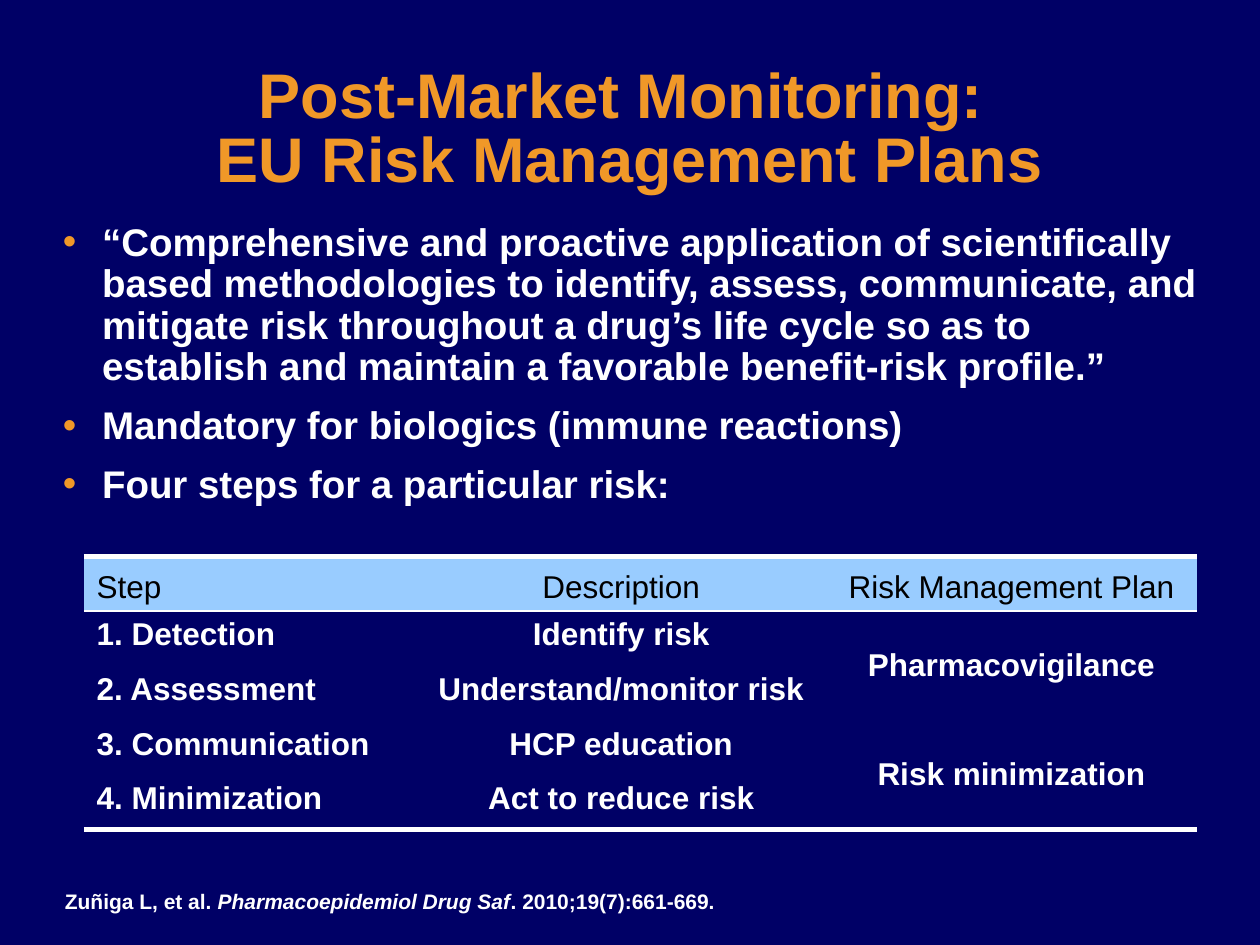
"""Build a slide on EU risk management plans with bullets and a table of steps."""
import pptx
import pptx.util
import pptx.dml.color
import pptx.enum.text
import pptx.oxml
import pptx.oxml.ns
from lxml import etree

Pt = pptx.util.Pt
ALIGN = pptx.enum.text.PP_ALIGN
ANCHOR = pptx.enum.text.MSO_ANCHOR

COLORS = {"navy": "000066", "orange": "F09828", "white": "FFFFFF",
          "black": "000000", "sky": "99CCFF"}
FONT = "Arial"

TITLE = ["Post-Market Monitoring: ", "EU Risk Management Plans"]
BULLETS = [
    "“Comprehensive and proactive application of scientifically based methodologies "
    "to identify, assess, communicate, and mitigate risk throughout a drug’s life cycle "
    "so as to establish and maintain a favorable benefit-risk profile.”",
    "Mandatory for biologics (immune reactions)",
    "Four steps for a particular risk:",
]
CITATION = [("Zuñiga L, et al. ", False), ("Pharmacoepidemiol Drug Saf", True),
            (". 2010;19(7):661-669.", False)]
STEPS = [
    ("Step", "Description", "Risk Management Plan"),
    ("1. Detection", "Identify risk", "Pharmacovigilance"),
    ("2. Assessment", "Understand/monitor risk", ""),
    ("3. Communication", "HCP education", "Risk minimization"),
    ("4. Minimization", "Act to reduce risk", ""),
]
MERGED_ROWS = [(1, 2), (3, 4)]
COLUMN_WIDTHS = [190, 234, 212]
ROW_HEIGHT = 31.2
BORDERS = {0: {"T": 3, "B": 1}, 1: {"T": 1}, 4: {"B": 3}}
NO_STYLE = "{2D5ABB26-0587-4C30-8999-92F81FD0307C}"


def color(name):
    return pptx.dml.color.RGBColor.from_string(COLORS[name])


def add_xml(parent, tag, **attributes):
    return etree.SubElement(parent, pptx.oxml.ns.qn("a:" + tag), attributes)


def add_run(paragraph, text, size, color_name="white", bold=True, italic=False):
    run = paragraph.add_run()
    run.text = text
    font = run.font
    font.name, font.size, font.bold, font.italic = FONT, Pt(size), bold, italic
    font.color.rgb = color(color_name)
    return run


def add_text_frame(slide, left, top, width, height, anchor=ANCHOR.TOP):
    frame = slide.shapes.add_textbox(Pt(left), Pt(top), Pt(width), Pt(height)).text_frame
    frame.word_wrap = True
    frame.vertical_anchor = anchor
    return frame


def add_shadow(run):
    properties = run.font.fill._xPr
    effects = pptx.oxml.parse_xml(
        f'<a:effectLst {pptx.oxml.ns.nsdecls("a")}><a:outerShdw dist="38100" dir="2700000">'
        f'<a:srgbClr val="{COLORS["black"]}"/></a:outerShdw></a:effectLst>')
    properties.find(pptx.oxml.ns.qn("a:solidFill")).addnext(effects)


def add_title(slide):
    paragraph = add_text_frame(slide, 26.6, 30.2, 666.7, 90, ANCHOR.MIDDLE).paragraphs[0]
    paragraph.alignment = ALIGN.CENTER
    paragraph.line_spacing = 0.85
    for index, line in enumerate(TITLE):
        if index:
            paragraph.add_line_break()
        add_shadow(add_run(paragraph, line, 36, "orange"))


def add_bullets(slide):
    frame = add_text_frame(slide, 28.8, 123.8, 662.4, 356.4)
    for index, text in enumerate(BULLETS):
        paragraph = frame.add_paragraph() if index else frame.paragraphs[0]
        paragraph.line_spacing = 0.9
        paragraph.space_before = Pt(9.8 if index else 0)
        properties = paragraph._p.get_or_add_pPr()
        properties.set("marL", str(Pt(22.5)))
        properties.set("indent", str(-Pt(22.5)))
        add_xml(add_xml(properties, "buClr"), "srgbClr", val=COLORS["orange"])
        add_xml(properties, "buFont", typeface=FONT)
        add_xml(properties, "buChar", char="•")
        add_run(paragraph, text, 22)


def add_borders(cell, widths):
    properties = cell._tc.get_or_add_tcPr()
    for side in "LRTB":
        width = widths.get(side, 0)
        line = add_xml(properties, "ln" + side, w=str(Pt(width)))
        if width:
            add_xml(add_xml(line, "solidFill"), "srgbClr", val=COLORS["white"])
        else:
            add_xml(line, "noFill")


def add_steps_table(slide):
    frame = slide.shapes.add_table(len(STEPS), len(COLUMN_WIDTHS), Pt(48), Pt(318),
                                   Pt(sum(COLUMN_WIDTHS)), Pt(ROW_HEIGHT * len(STEPS)))
    table = frame.table
    table.first_row = table.horz_banding = False
    table._tbl.tblPr.find(pptx.oxml.ns.qn("a:tableStyleId")).text = NO_STYLE
    for column, width in zip(table.columns, COLUMN_WIDTHS):
        column.width = Pt(width)
    for row_index, texts in enumerate(STEPS):
        table.rows[row_index].height = Pt(ROW_HEIGHT)
        header = row_index == 0
        for column_index, text in enumerate(texts):
            cell = table.cell(row_index, column_index)
            add_borders(cell, BORDERS.get(row_index, {}))
            if header:
                cell.fill.solid()
                cell.fill.fore_color.rgb = color("sky")
                cell.vertical_anchor = ANCHOR.BOTTOM
            else:
                cell.fill.background()
                cell.vertical_anchor = ANCHOR.MIDDLE if column_index == 2 else ANCHOR.TOP
            if text:
                paragraph = cell.text_frame.paragraphs[0]
                paragraph.alignment = ALIGN.CENTER if column_index else ALIGN.LEFT
                add_run(paragraph, text, 18, "black" if header else "white", not header)
    for first, last in MERGED_ROWS:
        add_merge = table.cell(first, 2).merge
        add_merge(table.cell(last, 2))
    last_plan = table.cell(MERGED_ROWS[-1][0], 2)._tc.tcPr
    bottom = last_plan.find(pptx.oxml.ns.qn("a:lnB"))
    bottom.set("w", str(Pt(3)))
    bottom.remove(bottom[0])
    add_xml(add_xml(bottom, "solidFill"), "srgbClr", val=COLORS["white"])


def add_citation(slide):
    paragraph = add_text_frame(slide, 30, 504, 630, 24).paragraphs[0]
    for text, italic in CITATION:
        add_run(paragraph, text, 12, italic=italic)


def main():
    presentation = pptx.Presentation()
    presentation.slide_width, presentation.slide_height = Pt(720), Pt(540)
    slide = presentation.slides.add_slide(presentation.slide_layouts[6])
    slide.background.fill.solid()
    slide.background.fill.fore_color.rgb = color("navy")
    add_title(slide)
    add_bullets(slide)
    add_steps_table(slide)
    add_citation(slide)
    presentation.save("out.pptx")


if __name__ == "__main__":
    main()
